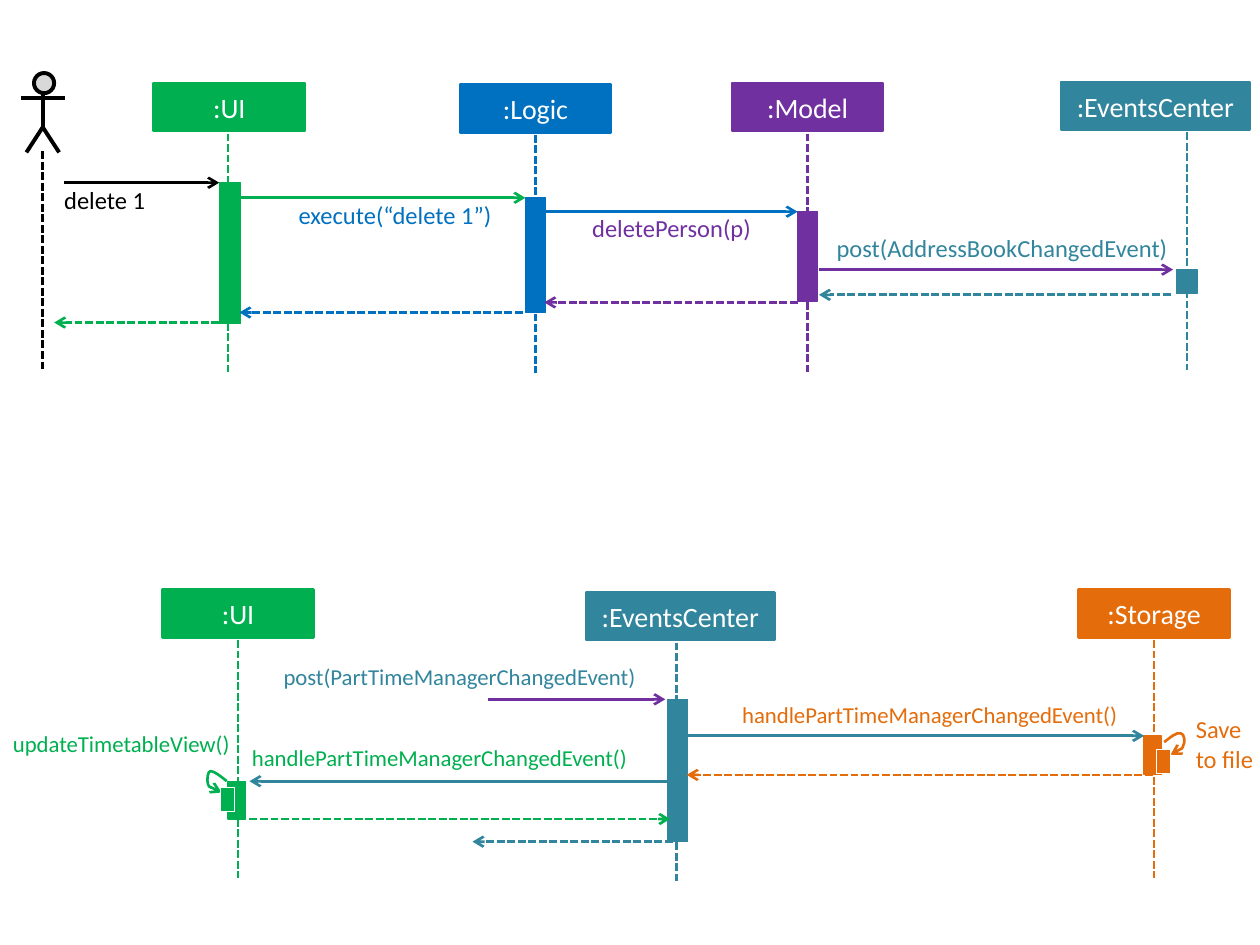
from itertools import chain

from lxml.etree import SubElement
from pptx import Presentation
from pptx.dml.color import RGBColor
from pptx.enum.dml import MSO_LINE
from pptx.enum.shapes import MSO_CONNECTOR, MSO_SHAPE
from pptx.enum.text import MSO_ANCHOR, MSO_AUTO_SIZE, PP_ALIGN
from pptx.oxml.ns import qn
from pptx.util import Inches, Pt

GREEN, BLUE, PURPLE, TEAL, ORANGE = "00B050", "0070C0", "7030A0", "31859C", "E46C0A"
BLACK, WHITE, GREY = "000000", "FFFFFF", "D9D9D9"
HEAD_HEIGHT, AXIS_GAP, AXIS_LENGTH = 0.38, 0.4, 1.89

# name, colour, head centre, head top, head width, axis x, bar (left, top, width, height)
LIFELINES = [
    (":UI", GREEN, 1.82, 0.66, 1.2, 1.81, (1.74, 1.45, 0.17, 1.12)),
    (":Logic", BLUE, 4.25, 0.67, 1.2, 4.25, (4.17, 1.57, 0.16, 0.91)),
    (":Model", PURPLE, 6.41, 0.66, 1.2, 6.41, (6.33, 1.68, 0.16, 0.71)),
    (":EventsCenter", TEAL, 9.17, 0.65, 1.5, 9.42, (9.34, 2.14, 0.16, 0.19)),
    (":UI", GREEN, 1.89, 4.68, 1.2, 1.89, (1.81, 6.2, 0.14, 0.3)),
    (":EventsCenter", TEAL, 5.4, 4.7, 1.5, 5.37, (5.3, 5.55, 0.16, 1.13)),
    (":Storage", ORANGE, 9.16, 4.68, 1.2, 9.16, (9.08, 5.84, 0.14, 0.31)),
]

# colour, sender x, receiver x, y
CALLS = [
    (BLACK, 0.51, 1.74, 1.45),
    (GREEN, 1.9, 4.17, 1.57),
    (BLUE, 4.32, 6.33, 1.68),
    (PURPLE, 6.5, 9.31, 2.14),
    (PURPLE, 3.87, 5.28, 5.55),
    (TEAL, 5.45, 9.08, 5.84),
    (TEAL, 5.32, 1.98, 6.2),
]
RETURNS = [
    (TEAL, 9.29, 6.5, 2.34),
    (PURPLE, 6.33, 4.32, 2.4),
    (BLUE, 4.15, 1.9, 2.48),
    (GREEN, 1.74, 0.43, 2.56),
    (ORANGE, 9.15, 5.45, 6.15),
    (GREEN, 1.98, 5.32, 6.5),
    (TEAL, 5.34, 3.75, 6.68),
]

# wording, colour, size, left, top, width, height, alignment
LEFT, RIGHT = PP_ALIGN.LEFT, PP_ALIGN.RIGHT
LABELS = [
    ("delete 1", BLACK, 14, 0.51, 1.47, 0.94, 0.24, LEFT),
    ("execute(“delete 1”)", BLUE, 14, 2.37, 1.59, 1.56, 0.24, LEFT),
    ("deletePerson(p)", PURPLE, 14, 4.7, 1.69, 1.56, 0.24, LEFT),
    ("post(AddressBookChangedEvent)", TEAL, 14, 6.64, 1.85, 2.67, 0.24, LEFT),
    ("post(PartTimeManagerChangedEvent)", TEAL, 13, 2.25, 5.26, 3.32, 0.22, LEFT),
    ("handlePartTimeManagerChangedEvent()", ORANGE, 13, 5.89, 5.56, 3.41, 0.22, LEFT),
    ("handlePartTimeManagerChangedEvent()", GREEN, 13, 2, 5.9, 3.44, 0.22, LEFT),
    ("updateTimetableView()", GREEN, 13, -0.34, 5.79, 2.16, 0.22, RIGHT),
    ("Save\vto file", ORANGE, 14, 9.49, 5.67, 0.59, 0.47, LEFT),
]

# colour, nested bar, curve: start point followed by Bezier triples
SELF_CALLS = [
    (GREEN, (1.75, 6.25, 0.11, 0.19),
     [(1.8, 6.2), (1.75, 6.16), (1.7, 6.12), (1.67, 6.12),
      (1.65, 6.12), (1.64, 6.19), (1.65, 6.22), (1.66, 6.25), (1.71, 6.27), (1.76, 6.29)]),
    (ORANGE, (9.18, 5.95, 0.11, 0.19),
     [(9.24, 5.89), (9.29, 5.85), (9.34, 5.81), (9.37, 5.82),
      (9.4, 5.82), (9.41, 5.89), (9.39, 5.92), (9.38, 5.95), (9.33, 5.97), (9.29, 5.99)]),
]

ACTOR_X = 0.34
ACTOR_HEAD = (0.27, 0.58, 0.16, 0.16)
ACTOR_LIMBS = [((ACTOR_X, 0.74), (ACTOR_X, 1.02)), ((0.17, 0.78), (0.52, 0.78))]
ACTOR_LEGS = [(0.21, 1.21), (ACTOR_X, 1.01), (0.47, 1.21)]

prs = Presentation()
prs.slide_width, prs.slide_height = Inches(10), Inches(7.5)
shapes = prs.slides.add_slide(prs.slide_layouts[6]).shapes


def rgb(value):
    """Turn a hex string into a colour."""
    return RGBColor.from_string(value)


def style_line(item, colour, weight, dashed=False, arrow=False):
    """Set the stroke of a shape or connector, with an optional end arrow."""
    item.line.color.rgb = rgb(colour)
    item.line.width = Pt(weight)
    if dashed:
        item.line.dash_style = MSO_LINE.SQUARE_DOT
    if arrow:
        stroke = item.element.find(".//" + qn("a:ln"))
        SubElement(stroke, qn("a:tailEnd"), type="arrow")


def write(frame, wording, *, colour, size, align):
    """Fill a text frame with one formatted paragraph."""
    paragraph = frame.paragraphs[0]
    paragraph.text = wording
    paragraph.alignment = align
    for run in paragraph.runs:
        run.font.name, run.font.size = "Calibri", Pt(size)
        run.font.color.rgb = rgb(colour)


def block(box, fill, outline, weight, kind=MSO_SHAPE.RECTANGLE):
    """Add a filled shape and return it."""
    item = shapes.add_shape(kind, *map(Inches, box))
    item.shadow.inherit = False
    item.fill.solid()
    item.fill.fore_color.rgb = rgb(fill)
    style_line(item, outline, weight)
    return item


def straight(start, end, colour, weight=1.5, **stroke):
    """Add a straight line between two points."""
    item = shapes.add_connector(MSO_CONNECTOR.STRAIGHT, *map(Inches, chain(start, end)))
    style_line(item, colour, weight, **stroke)
    SubElement(item.element.spPr, qn("a:effectLst"))


def outline(points, colour, weight, curved=False, **stroke):
    """Add an open unfilled path; if curved, each three points form a Bezier."""
    first, *rest = [(Inches(x), Inches(y)) for x, y in points]
    builder = shapes.build_freeform(*first)
    builder.add_line_segments(rest, close=False)
    item = builder.convert_to_shape()
    item.shadow.inherit = False
    item.fill.background()
    style_line(item, colour, weight, **stroke)
    if curved:
        route = item.element.find(".//" + qn("a:path"))
        steps = route.findall(qn("a:lnTo"))
        for i in range(0, len(steps), 3):
            bend = SubElement(route, qn("a:cubicBezTo"))
            for step in steps[i:i + 3]:
                bend.append(step[0])
                route.remove(step)


def label(wording, colour, size, left, top, width, height, align):
    """Add a message label without margins."""
    frame = shapes.add_textbox(*map(Inches, (left, top, width, height))).text_frame
    frame.margin_left = frame.margin_right = frame.margin_top = frame.margin_bottom = 0
    frame.word_wrap = True
    frame.auto_size = MSO_AUTO_SIZE.SHAPE_TO_FIT_TEXT
    write(frame, wording, colour=colour, size=size, align=align)


def lifeline(name, colour, centre, top, width, axis, bar):
    """Add a participant: head, dashed axis and activation bar."""
    head = block((centre - width / 2, top, width, HEAD_HEIGHT), colour, colour, 1.5)
    head.text_frame.vertical_anchor = MSO_ANCHOR.MIDDLE
    write(head.text_frame, name, colour=WHITE, size=16, align=PP_ALIGN.CENTER)
    start = top + AXIS_GAP
    straight((axis, start), (axis, start + AXIS_LENGTH), colour, dashed=True)
    block(bar, colour, colour, 0.75)


for participant in LIFELINES:
    lifeline(*participant)

block(ACTOR_HEAD, GREY, BLACK, 2.25, MSO_SHAPE.FLOWCHART_CONNECTOR)
for limb in ACTOR_LIMBS:
    straight(*limb, BLACK, 2.25)
outline(ACTOR_LEGS, BLACK, 2.25)
straight((ACTOR_X, 1.2), (ACTOR_X, 2.95), BLACK, dashed=True)

for messages, dashed in ((CALLS, False), (RETURNS, True)):
    for colour, sender, receiver, y in messages:
        straight((sender, y), (receiver, y), colour, dashed=dashed, arrow=True)

for colour, nested_bar, curve in SELF_CALLS:
    outline(curve, colour, 1.5, curved=True, arrow=True)
    block(nested_bar, colour, WHITE, 0.75)

for entry in LABELS:
    label(*entry)

prs.save("out.pptx")
